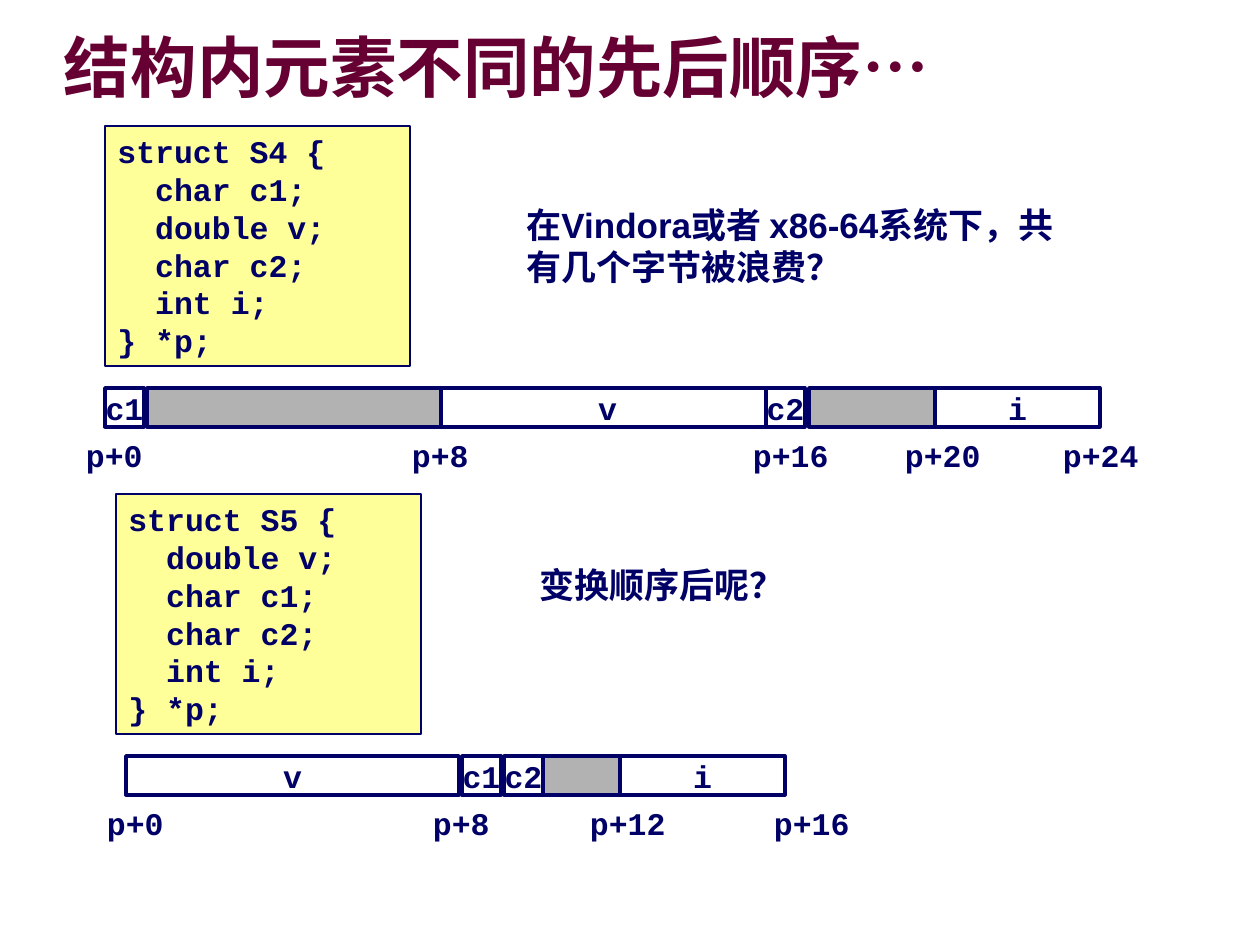
import pptx
import pptx.dml.color
import pptx.enum.lang
import pptx.enum.shapes
import pptx.enum.text
import pptx.oxml
import pptx.util

PX = 914400 // 126
COLORS = {"navy": "000066", "title": "660033", "code": "FFFF99",
          "field": "FFFFFF", "padding": "B2B2B2"}
CODE_FONT, TEXT_FONT = "Courier New", "Arial"
ALIGN = pptx.enum.text.PP_ALIGN
ANCHOR = pptx.enum.text.MSO_ANCHOR
CELL_HEIGHT = 39
TITLE_SHADOW = (
    '<a:effectLst xmlns:a="http://schemas.openxmlformats.org/drawingml/2006/main">'
    '<a:outerShdw dist="53882" dir="2700000" algn="ctr" rotWithShape="0">'
    '<a:srgbClr val="969696"/></a:outerShdw></a:effectLst>')

# Padding cells come first so that the fields lie over their edges.
S4_CELLS = [("", 147, 294), ("", 809, 126), ("c1", 105, 39),
            ("v", 441, 333), ("c2", 766, 39), ("i", 935, 165)]
S4_OFFSETS = [("p+0", 73), ("p+8", 399), ("p+16", 740), ("p+20", 892), ("p+24", 1050)]
S5_CELLS = [("", 536, 84), ("v", 126, 333), ("c1", 462, 39),
            ("c2", 504, 39), ("i", 620, 165)]
S5_OFFSETS = [("p+0", 94), ("p+8", 420), ("p+12", 577), ("p+16", 761)]

S4_CODE = ["struct S4 {", "  char c1;", "  double v;", "  char c2;", "  int i;", "} *p;"]
S5_CODE = ["struct S5 {", "  double v;", "  char c1;", "  char c2;", "  int i;", "} *p;"]


def rgb(name):
    return pptx.dml.color.RGBColor.from_string(COLORS[name])


def scaled(*lengths):
    return [length * PX for length in lengths]


def write(box, lines, font, size, color="navy", align=ALIGN.LEFT,
          anchor=ANCHOR.TOP, wrap=True):
    frame = box.text_frame
    frame.word_wrap = wrap
    frame.vertical_anchor = anchor
    for index, line in enumerate(lines):
        para = frame.add_paragraph() if index else frame.paragraphs[0]
        para.alignment = align
        span = para.add_run()
        span.text = line
        span.font.name = font
        span.font.size = pptx.util.Pt(size)
        span.font.bold = True
        span.font.color.rgb = rgb(color)
        if font == TEXT_FONT:
            span.font.language_id = pptx.enum.lang.MSO_LANGUAGE_ID.SIMPLIFIED_CHINESE


def add_rect(shapes, left, top, width, height, fill, line_width):
    box = shapes.add_shape(pptx.enum.shapes.MSO_SHAPE.RECTANGLE,
                           *scaled(left, top, width, height))
    box.shadow.inherit = False
    box.fill.solid()
    box.fill.fore_color.rgb = rgb(fill)
    box.line.color.rgb = rgb("navy")
    box.line.width = pptx.util.Pt(line_width)
    return box


def add_text(shapes, left, top, width, height, text, font, size, **style):
    box = shapes.add_textbox(*scaled(left, top, width, height))
    write(box, [text], font, size, **style)
    return box


def add_title(page, text):
    box = add_text(page.shapes, 64, 32, 1133, 79, text, TEXT_FONT, 38,
                   color="title", anchor=ANCHOR.MIDDLE)
    frame = box.text_frame
    frame.margin_left = frame.margin_right = frame.margin_top = frame.margin_bottom = 0
    para = frame.paragraphs[0]
    para.line_spacing = 0.87
    fill = para.runs[0].font.fill
    fill.solid()
    fill.fore_color.rgb = rgb("title")
    properties = para.runs[0].font._element
    solid = properties.find(pptx.oxml.ns.qn("a:solidFill"))
    solid.addnext(pptx.oxml.parse_xml(TITLE_SHADOW))


def add_code(page, left, top, lines):
    box = add_rect(page.shapes, left, top, 305, 240, "code", 1)
    write(box, lines, CODE_FONT, 18)


def add_layout(page, top, cells, offsets):
    """Draw one memory bar with its byte offsets below."""
    shapes = page.shapes.add_group_shape().shapes
    for name, left, width in cells:
        fill = "field" if name else "padding"
        box = add_rect(shapes, left, top, width, CELL_HEIGHT, fill, 2)
        if name:
            write(box, [name], CODE_FONT, 18, align=ALIGN.CENTER,
                  anchor=ANCHOR.MIDDLE, wrap=False)
    for text, left in offsets:
        add_text(shapes, left, top + 42, 25 + 19 * len(text), 50, text,
                 CODE_FONT, 18, align=ALIGN.RIGHT, wrap=False)


def main():
    deck = pptx.Presentation()
    deck.slide_width = pptx.util.Inches(10)
    deck.slide_height = pptx.util.Inches(7.5)
    page = deck.slides.add_slide(deck.slide_layouts[6])

    add_title(page, "结构内元素不同的先后顺序…")

    # First member order
    add_code(page, 105, 126, S4_CODE)
    add_layout(page, 388, S4_CELLS, S4_OFFSETS)
    add_text(page.shapes, 514, 197, 557, 97,
             "在Vindora或者 x86-64系统下，共有几个字节被浪费？", TEXT_FONT, 20)

    # Changed member order
    add_code(page, 116, 494, S5_CODE)
    add_layout(page, 756, S5_CELLS, S5_OFFSETS)
    add_text(page.shapes, 527, 557, 271, 55, "变换顺序后呢？", TEXT_FONT, 20, wrap=False)

    deck.save("out.pptx")


if __name__ == "__main__":
    main()
